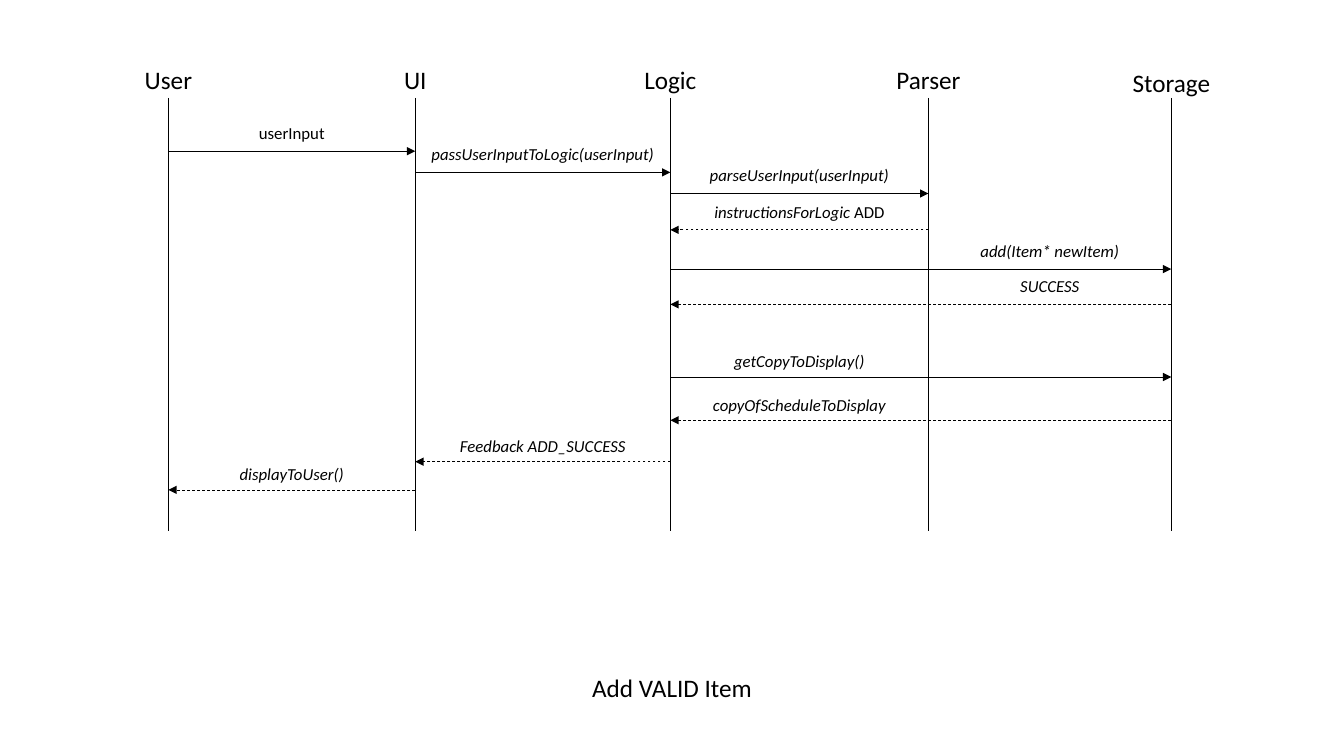
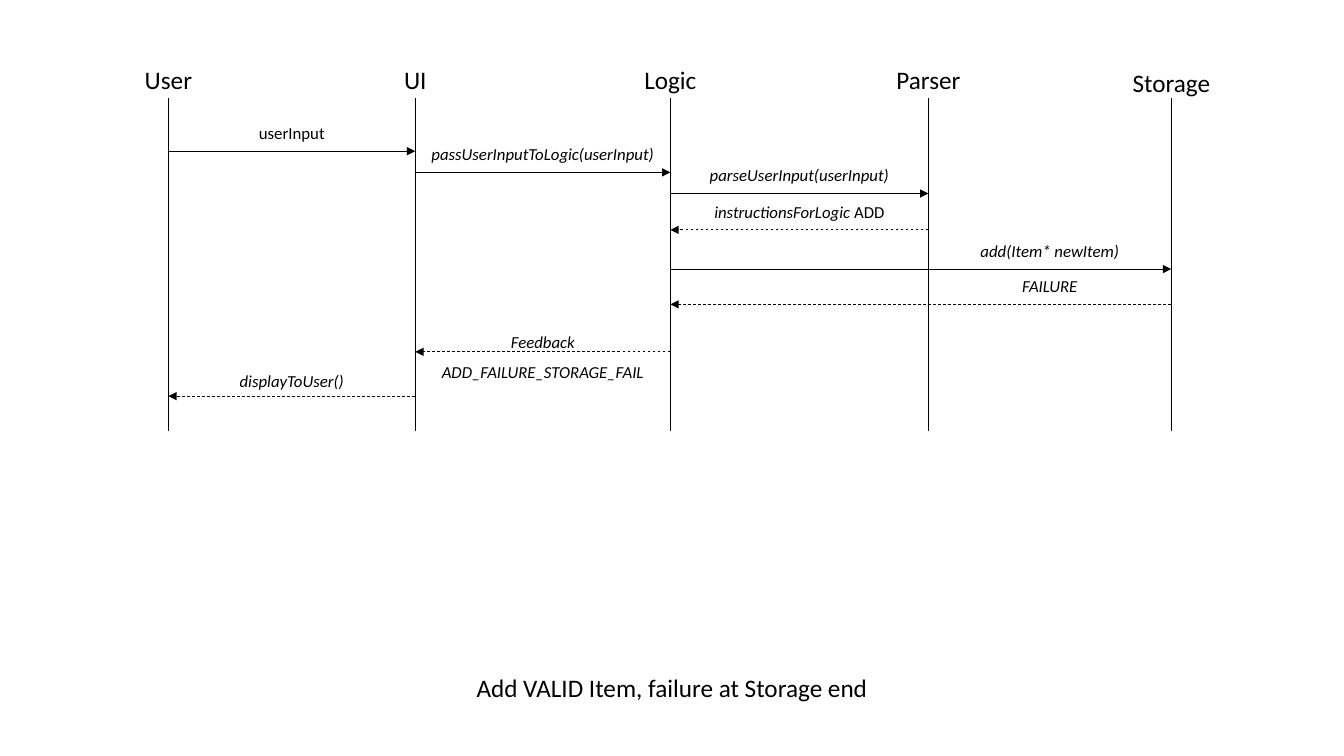
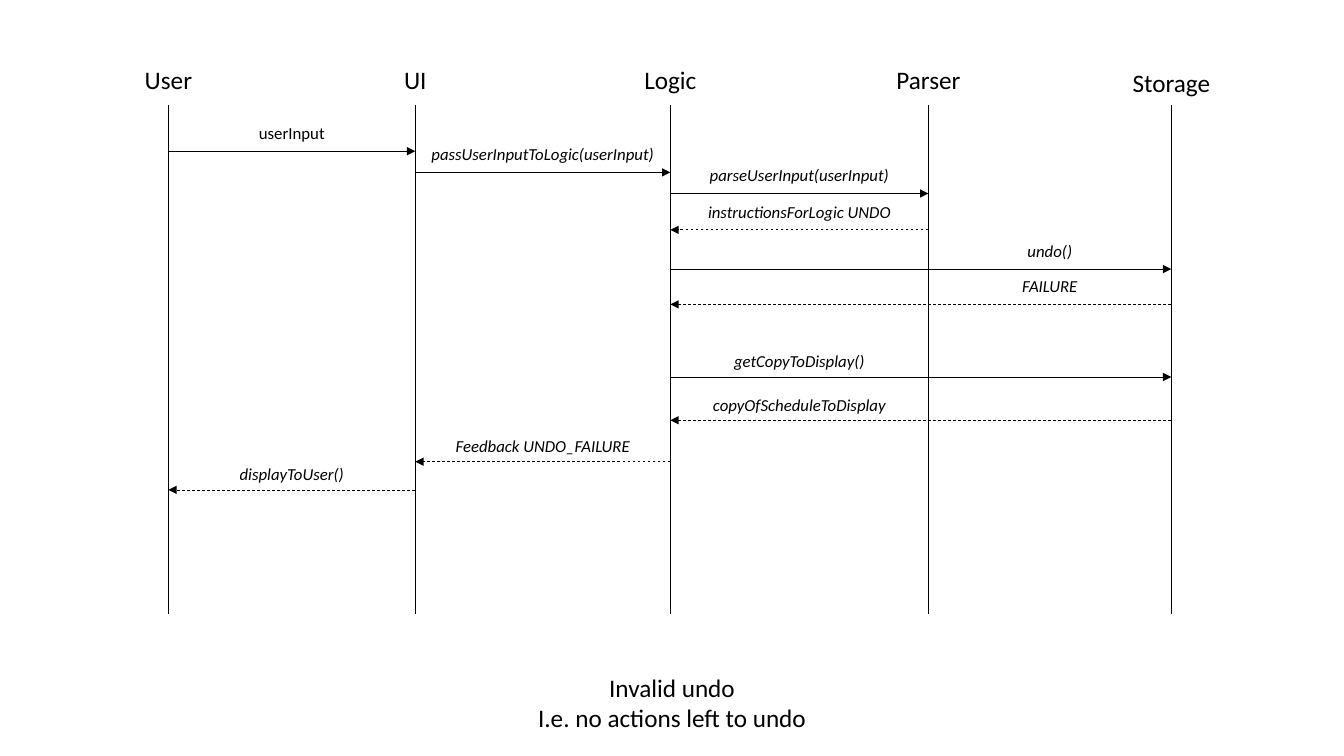
from lxml import etree
from pptx import Presentation, util as u
from pptx.dml.color import RGBColor
from pptx.enum import dml, shapes, text
from pptx.oxml.ns import qn

C = {"ink": "000000"}
FONT = {"name": "Calibri", "size": u.Pt(18)}
LABEL = {"name": "Calibri", "size": u.Pt(12)}

prs = Presentation()
prs.slide_width, prs.slide_height = u.Inches(13.33), u.Inches(7.5)
COL, ROW = prs.slide_width / 100, prs.slide_height / 100  # 100 x 100 grid

# Lifelines: column from the left of the diagram, header width
LIFELINES = {"User": (0, 5.1), "UI": (18.37, 3.2), "Logic": (37.35, 5.5),
             "Parser": (56.55, 6.3), "Storage": (74.62, 7.3)}
LEFT, TOP = 12.53, 7.87
TIGHT, LOOSE = 4.4, 5.4  # rows from a label's top down to its arrow


def add_text(s, box, paragraphs, font, wrap=True, spacing=None):
    """Each paragraph is a list of (text, italic) runs."""
    x, y, w, h = box
    tf = s.shapes.add_textbox(*(int(v) for v in (x * COL, y * ROW, w * COL, h * ROW))).text_frame
    tf.word_wrap = wrap
    tf.auto_size = text.MSO_AUTO_SIZE.SHAPE_TO_FIT_TEXT
    for i, runs in enumerate(paragraphs):
        p = tf.add_paragraph() if i else tf.paragraphs[0]
        p.alignment = text.PP_ALIGN.CENTER
        if spacing:
            p.line_spacing = spacing
        for words, italic in runs:
            r = p.add_run()
            r.text = words
            for key, value in {**font, "italic": italic}.items():
                setattr(r.font, key, value)
            r.font.color.rgb = RGBColor.from_string(C["ink"])


def add_line(s, x1, y1, x2, y2, arrow=False, dashed=False):
    sp = s.shapes.add_connector(shapes.MSO_CONNECTOR.STRAIGHT,
                                *(int(v) for v in (x1 * COL, y1 * ROW, x2 * COL, y2 * ROW)))
    sp.line.width = u.Pt(0.5)
    sp.line.color.rgb = RGBColor.from_string(C["ink"])
    if dashed:
        sp.line.dash_style = dml.MSO_LINE.DASH
    if arrow:
        etree.SubElement(sp.line._get_or_add_ln(), qn("a:tailEnd"), type="triangle")
    etree.SubElement(sp._element.spPr, qn("a:effectLst"))


def add_lifelines(s, box, start):
    left, top, height = box
    for name, (col, width) in LIFELINES.items():
        drop = 0.4 if name == "Storage" else 0
        x = left + col
        add_text(s, (x - width / 2, top + drop, width, 5.2), [[(name, False)]], FONT, wrap=False)
        add_line(s, x, top + start, x, top + height)


def add_message(s, box, row, source, target, runs, span=None, gap=TIGHT, lines=1):
    """Draw an arrow; messages going left are dashed replies. Label sits in span."""
    left, top, _ = box
    x1, x2 = (left + LIFELINES[name][0] for name in (source, target))
    y = top + row
    add_line(s, x1, y, x2, y, arrow=True, dashed=x2 < x1)
    a, b = sorted(left + LIFELINES[name][0] for name in span or (source, target))
    loose = gap != TIGHT
    height = (5.3 if loose else 4) * lines
    add_text(s, (a, y - gap, b - a, height), [runs], LABEL, spacing=1.5 if loose else None)


def add_caption(s, lines, width):
    add_text(s, (50 - width / 2, 88.27, width, 1.3 + 4.1 * len(lines)),
             [[(line, False)] for line in lines], FONT, wrap=False)


def it(words):
    return [(words, True)]


def opening(instruction, call, result):
    return [
        (12.13, "User", "UI", [("userInput", False)]),
        (14.93, "UI", "Logic", it("passUserInputToLogic(userInput)")),
        (17.73, "Logic", "Parser", it("parseUserInput(userInput)")),
        (22.53, "Parser", "Logic", instruction),
        (27.73, "Logic", "Storage", it(call), ("Parser", "Storage")),
        (32.4, "Storage", "Logic", it(result), ("Parser", "Storage")),
    ]


def refresh(feedback):
    near = ("Logic", "Parser")
    return [
        (42, "Logic", "Storage", it("getCopyToDisplay()"), near, LOOSE),
        (47.73, "Storage", "Logic", it("copyOfScheduleToDisplay"), near, LOOSE),
        (53.2, "Logic", "UI", it(feedback), None, LOOSE),
        (56.93, "UI", "User", it("displayToUser()"), None, LOOSE),
    ]


def sequence_slide(height, start, messages, caption, caption_width):
    s = prs.slides.add_slide(prs.slide_layouts[6])
    box = (LEFT, TOP, height)
    add_lifelines(s, box, start)
    for message in messages:
        add_message(s, box, *message)
    add_caption(s, caption, caption_width)


ADD = [("instructionsForLogic", True), (" ADD", False)]
ADD_CALL = "add(Item* newItem)"

# Item added
sequence_slide(62.4, 5.07, opening(ADD, ADD_CALL, "SUCCESS") + refresh("Feedback ADD_SUCCESS"),
               ["Add VALID Item"], 13.6)

# Storage fails
sequence_slide(49.2, 5.07, opening(ADD, ADD_CALL, "FAILURE") + [
    (38.67, "Logic", "UI", it("Feedback ADD_FAILURE_STORAGE_FAIL"), None, 4.67, 2),
    (44.53, "UI", "User", it("displayToUser()"), None, LOOSE),
], ["Add VALID Item, failure at Storage end"], 31)

# Nothing to undo
sequence_slide(73.33, 6, opening(it("instructionsForLogic UNDO"), "undo()", "FAILURE")
               + refresh("Feedback UNDO_FAILURE"),
               ["Invalid undo", "I.e. no actions left to undo"], 21.8)

prs.save("out.pptx")
